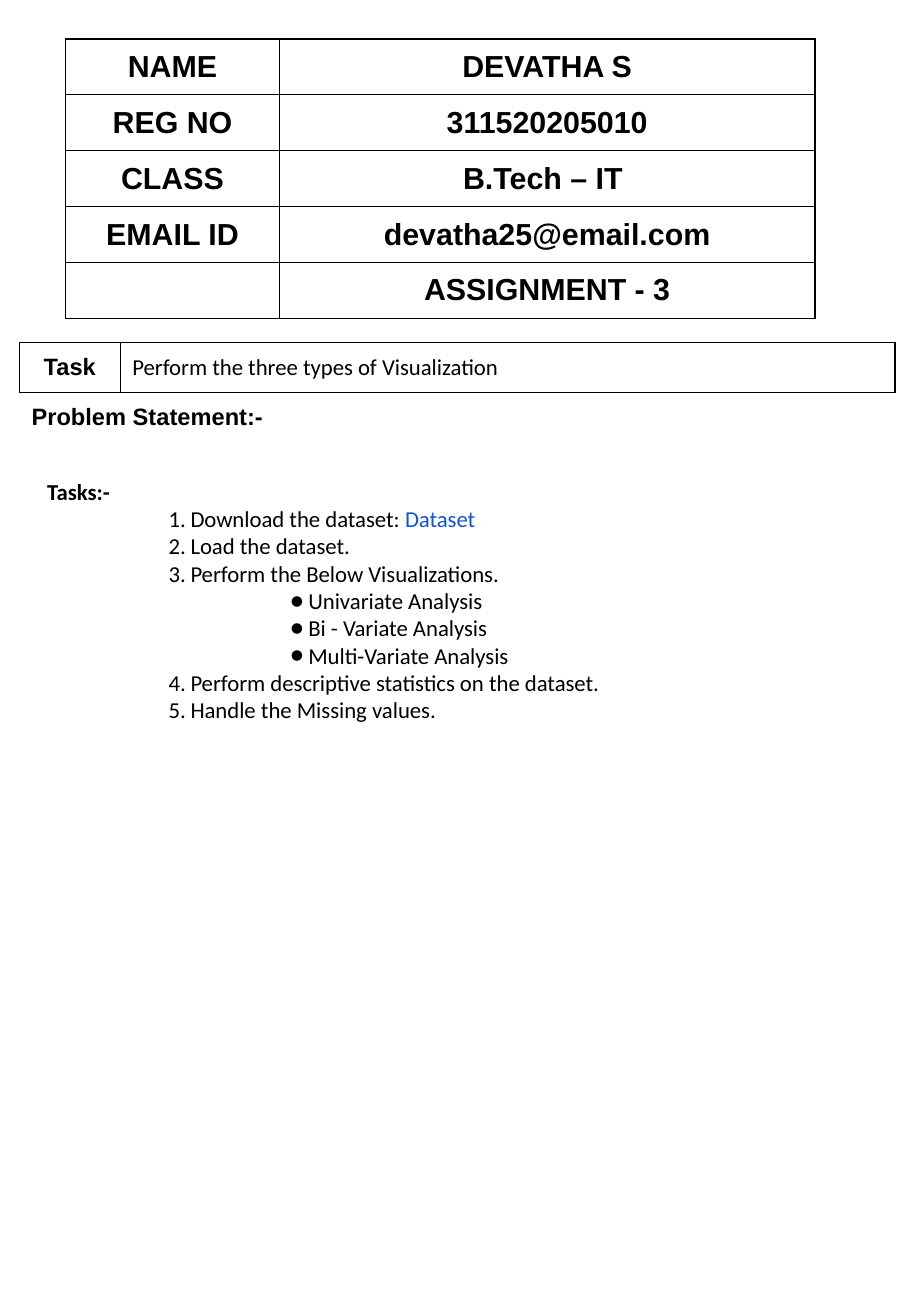
from dataclasses import dataclass

from lxml.etree import SubElement
from pptx import Presentation
from pptx.dml.color import RGBColor
from pptx.enum.text import MSO_ANCHOR, PP_ALIGN
from pptx.oxml.ns import qn
from pptx.slide import Slide
from pptx.table import Table, _Cell
from pptx.text.text import _Paragraph
from pptx.util import Pt

EMU_PER_PX = 9144


@dataclass(frozen=True)
class TextStyle:
    font: str
    size: float
    bold: bool = False
    color: str = "000000"


@dataclass(frozen=True)
class Theme:
    border: str = "000000"
    border_width: int = 1
    identity: TextStyle = TextStyle("Arial", 18, True)
    label: TextStyle = TextStyle("Arial", 14, True)
    heading: TextStyle = TextStyle("Calibri", 13.5, True)
    body: TextStyle = TextStyle("Calibri", 13.5)
    link: TextStyle = TextStyle("Calibri", 13.5, color="1155CD")


@dataclass(frozen=True)
class TableLayout:
    left: int
    top: int
    columns: tuple[int, ...]
    row_height: int
    rows: int


@dataclass(frozen=True)
class Marker:
    tag: str
    attributes: dict[str, str]
    level: int
    margin: int
    hanging: int


@dataclass(frozen=True)
class ListItem:
    text: str
    marker: Marker
    link: str = ""


THEME = Theme()
ALL_SIDES = ("L", "R", "T", "B")

IDENTITY_LAYOUT = TableLayout(54, 32, (176, 441), 46, 5)
IDENTITY_ROWS = (
    ("NAME", "DEVATHA S"),
    ("REG NO", "311520205010"),
    ("CLASS", "B.Tech – IT "),
    ("EMAIL ID", "devatha25@email.com"),
    ("", "ASSIGNMENT - 3"),
)
TASK_LAYOUT = TableLayout(16, 282, (83, 638), 41, 2)

NUMBER = Marker("a:buAutoNum", {"type": "arabicPeriod"}, 0, 118, 18)
BULLET = Marker("a:buChar", {"char": "●"}, 1, 215, 15)
TASK_ITEMS = (
    ListItem("Download the dataset: ", NUMBER, "Dataset"),
    ListItem("Load the dataset.", NUMBER),
    ListItem("Perform the Below Visualizations.", NUMBER),
    ListItem("Univariate Analysis", BULLET),
    ListItem("Bi - Variate Analysis", BULLET),
    ListItem("Multi-Variate Analysis", BULLET),
    ListItem("Perform descriptive statistics on the dataset.", NUMBER),
    ListItem("Handle the Missing values.", NUMBER),
)


def px(length: int) -> int:
    return length * EMU_PER_PX


def add_run(paragraph: _Paragraph, text: str, style: TextStyle) -> None:
    run = paragraph.add_run()
    run.text = text
    run.font.name = style.font
    run.font.size = Pt(style.size)
    run.font.bold = style.bold
    run.font.color.rgb = RGBColor.from_string(style.color)


def add_plain_table(slide: Slide, layout: TableLayout) -> Table:
    table = slide.shapes.add_table(
        layout.rows, len(layout.columns), px(layout.left), px(layout.top),
        px(sum(layout.columns)), px(layout.row_height * layout.rows),
    ).table
    table.first_row = False
    table.horz_banding = False
    for column, width in zip(table.columns, layout.columns):
        column.width = px(width)
    return table


def format_cell(cell: _Cell, sides: tuple[str, ...]) -> None:
    properties = cell._tc.get_or_add_tcPr()
    for side in ALL_SIDES:
        width = Pt(THEME.border_width) if side in sides else 0
        line = SubElement(properties, qn(f"a:ln{side}"), w=str(width))
        if side in sides:
            fill = SubElement(line, qn("a:solidFill"))
            SubElement(fill, qn("a:srgbClr"), val=THEME.border)
        else:
            SubElement(line, qn("a:noFill"))
    cell.fill.background()
    cell.vertical_anchor = MSO_ANCHOR.MIDDLE


def write_cell(cell: _Cell, text: str, style: TextStyle, alignment: PP_ALIGN) -> None:
    paragraph = cell.text_frame.paragraphs[0]
    paragraph.alignment = alignment
    if text:
        add_run(paragraph, text, style)


def add_identity_table(slide: Slide) -> None:
    table = add_plain_table(slide, IDENTITY_LAYOUT)
    for row, texts in zip(table.rows, IDENTITY_ROWS):
        for cell, text in zip(row.cells, texts):
            format_cell(cell, ALL_SIDES)
            write_cell(cell, text, THEME.identity, PP_ALIGN.CENTER)


def add_task_table(slide: Slide) -> None:
    table = add_plain_table(slide, TASK_LAYOUT)
    for row, sides in zip(table.rows, (ALL_SIDES, ("T",))):
        for cell in row.cells:
            format_cell(cell, sides)
    table.cell(1, 0).merge(table.cell(1, 1))
    write_cell(table.cell(0, 0), "Task", THEME.label, PP_ALIGN.CENTER)
    write_cell(table.cell(0, 1), "Perform the three types of Visualization",
               THEME.body, PP_ALIGN.JUSTIFY)
    write_cell(table.cell(1, 0), "Problem Statement:-", THEME.label, PP_ALIGN.LEFT)


def apply_marker(paragraph: _Paragraph, marker: Marker) -> None:
    paragraph.level = marker.level
    properties = paragraph._p.get_or_add_pPr()
    properties.set("marL", str(px(marker.margin)))
    properties.set("indent", str(-px(marker.hanging)))
    SubElement(properties, qn("a:buFont"), typeface=THEME.body.font)
    SubElement(properties, qn(marker.tag), marker.attributes)


def add_task_list(slide: Slide) -> None:
    frame = slide.shapes.add_textbox(px(29), px(388), px(708), px(215)).text_frame
    frame.word_wrap = True
    add_run(frame.paragraphs[0], "Tasks:-", THEME.heading)
    for item in TASK_ITEMS:
        paragraph = frame.add_paragraph()
        apply_marker(paragraph, item.marker)
        add_run(paragraph, item.text, THEME.body)
        if item.link:
            add_run(paragraph, item.link, THEME.link)


def main() -> None:
    presentation = Presentation()
    presentation.slide_width = px(750)
    presentation.slide_height = px(1083)
    slide = presentation.slides.add_slide(presentation.slide_layouts[6])
    add_identity_table(slide)
    add_task_table(slide)
    add_task_list(slide)
    presentation.save("out.pptx")


if __name__ == "__main__":
    main()
